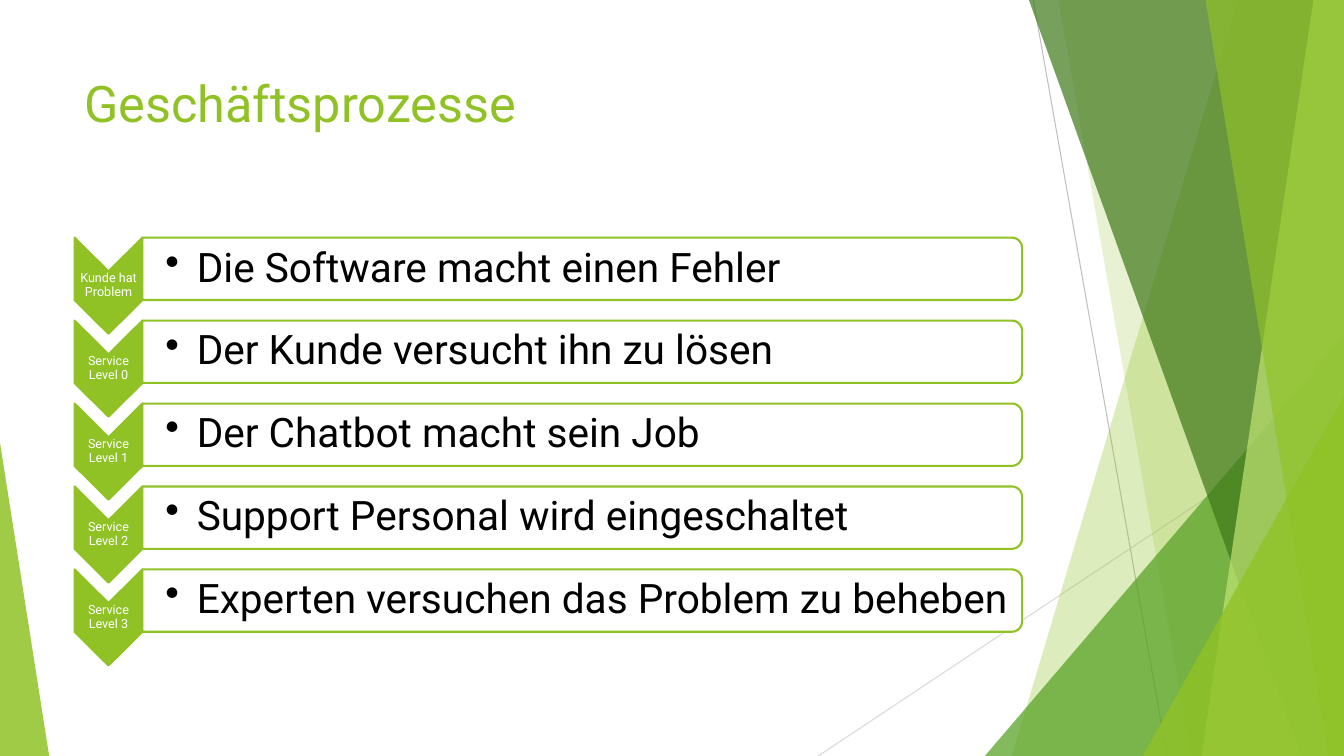
from dataclasses import dataclass
from math import cos, pi, sin

from lxml.etree import SubElement
from pptx import Presentation
from pptx.dml.color import RGBColor
from pptx.enum.shapes import MSO_CONNECTOR as Connector
from pptx.enum.text import MSO_ANCHOR as Anchor, PP_ALIGN as Align
from pptx.oxml.ns import qn
from pptx.shapes.autoshape import Shape
from pptx.slide import Slide
from pptx.text.text import _Paragraph as Paragraph
from pptx.util import Cm, Pt

Point = tuple[float, float]


@dataclass(frozen=True)
class Theme:
    font: str = "Roboto"
    lime: str = "90C226"
    pale_lime: str = "C0E474"
    green: str = "54A021"
    dark_green: str = "3F7819"
    gray: str = "BFBFBF"
    light_gray: str = "D9D9D9"
    white: str = "FFFFFF"
    black: str = "000000"
    title_size: float = 36
    step_size: float = 29
    level_size: float = 9
    outline: float = 1.5
    hairline: float = 0.75


@dataclass(frozen=True)
class Facet:
    corners: tuple[Point, ...]
    color: str
    opacity: int


@dataclass(frozen=True)
class Ray:
    start: Point
    end: Point
    color: str


@dataclass(frozen=True)
class Step:
    level: str
    action: str


THEME = Theme()
WIDTH, HEIGHT = 33.87, 19.05

RAYS = (
    Ray((26.04, 0), (29.41, HEIGHT), THEME.gray),
    Ray((WIDTH, 10.24), (20.62, HEIGHT), THEME.light_gray),
)


def right_facet(top: float, bottom: float, color: str, opacity: int) -> Facet:
    corners = ((top, 0), (WIDTH, 0), (WIDTH, HEIGHT), (bottom, HEIGHT))
    return Facet(corners, color, opacity)


def corner_facet(left: float, top: float, color: str, opacity: int) -> Facet:
    return Facet(((left, HEIGHT), (WIDTH, top), (WIDTH, HEIGHT)), color, opacity)


FACETS = (
    right_facet(31.19, 25.5, THEME.lime, 30),
    right_facet(26.67, 30.02, THEME.lime, 20),
    corner_facet(24.82, 8.46, THEME.green, 72),
    right_facet(25.93, 32.79, THEME.dark_green, 70),
    right_facet(33.1, 30.28, THEME.pale_lime, 70),
    right_facet(30.38, 33.48, THEME.lime, 65),
    corner_facet(28.8, 9.98, THEME.lime, 80),
    Facet(((0, HEIGHT), (0, 11.15), (1.24, HEIGHT)), THEME.lime, 85),
)

STEPS = (
    Step("Kunde hat Problem", "Die Software macht einen Fehler"),
    Step("Service Level 0", "Der Kunde versucht ihn zu lösen"),
    Step("Service Level 1", "Der Chatbot macht sein Job"),
    Step("Service Level 2", "Support Personal wird eingeschaltet"),
    Step("Service Level 3", "Experten versuchen das Problem zu beheben"),
)

FIRST_TOP, PITCH = 5.99, 2.09
CHEVRON_LEFT, BAR_LEFT, BAR_RIGHT = 1.88, 3.59, 25.76
BAR_HEIGHT, TIP_DEPTH, CORNER_RADIUS = 1.57, 0.85, 0.26
BULLET_INDENT = 0.79


def draw_polygon(slide: Slide, corners: tuple[Point, ...], color: str, opacity: int = 100) -> Shape:
    start, *others = [(Cm(x), Cm(y)) for x, y in corners]
    builder = slide.shapes.build_freeform(*start)
    builder.add_line_segments(others, close=True)
    polygon = builder.convert_to_shape()
    polygon.shadow.inherit = False
    polygon.fill.solid()
    polygon.fill.fore_color.rgb = RGBColor.from_string(color)
    if opacity < 100:
        tint = polygon.fill._xPr.find(qn("a:solidFill"))[0]
        SubElement(tint, qn("a:alpha"), val=str(opacity * 1000))
    polygon.line.fill.background()
    return polygon


def draw_ray(slide: Slide, ray: Ray) -> None:
    ends = [Cm(length) for length in (*ray.start, *ray.end)]
    connector = slide.shapes.add_connector(Connector.STRAIGHT, *ends)
    connector.line.color.rgb = RGBColor.from_string(ray.color)
    connector.line.width = Pt(THEME.hairline)
    SubElement(connector._element.spPr, qn("a:effectLst"))


def write_run(paragraph: Paragraph, text: str, size: float, color: str) -> None:
    run = paragraph.add_run()
    run.text = text
    run.font.name = THEME.font
    run.font.size = Pt(size)
    run.font.color.rgb = RGBColor.from_string(color)


def prepare_step_text(shape: Shape, insets: tuple[float, ...], align: Align, after: float) -> Paragraph:
    shape.line.color.rgb = RGBColor.from_string(THEME.lime)
    shape.line.width = Pt(THEME.outline)
    frame = shape.text_frame
    frame.word_wrap = True
    frame.vertical_anchor = Anchor.MIDDLE
    (frame.margin_left, frame.margin_top,
     frame.margin_right, frame.margin_bottom) = map(Cm, insets)
    paragraph = frame.paragraphs[0]
    paragraph.alignment = align
    paragraph.line_spacing = 0.9
    paragraph.space_after = Pt(after)
    return paragraph


def add_bullet(paragraph: Paragraph) -> None:
    properties = paragraph._p.get_or_add_pPr()
    properties.set("marL", str(Cm(BULLET_INDENT)))
    properties.set("indent", str(-Cm(BULLET_INDENT)))
    bullet_color = SubElement(properties, qn("a:buClr"))
    SubElement(bullet_color, qn("a:srgbClr"), val=THEME.black)
    SubElement(properties, qn("a:buChar"), char="•")


def draw_level(slide: Slide, level: str, top: float) -> None:
    middle = (CHEVRON_LEFT + BAR_LEFT) / 2
    bottom = top + BAR_HEIGHT
    chevron = draw_polygon(slide, (
        (BAR_LEFT, top), (BAR_LEFT, bottom), (middle, bottom + TIP_DEPTH),
        (CHEVRON_LEFT, bottom), (CHEVRON_LEFT, top), (middle, top + TIP_DEPTH),
    ), THEME.lime)
    paragraph = prepare_step_text(chevron, (0.02, TIP_DEPTH, 0.02, TIP_DEPTH), Align.CENTER, 4)
    write_run(paragraph, level, THEME.level_size, THEME.white)


def draw_action(slide: Slide, action: str, top: float) -> None:
    bottom = top + BAR_HEIGHT
    center_x = BAR_RIGHT - CORNER_RADIUS
    angles = [pi / 2 * part / 8 for part in range(9)]
    arc = [(center_x + CORNER_RADIUS * sin(a), CORNER_RADIUS * (1 - cos(a))) for a in angles]
    upper = [(x, top + drop) for x, drop in arc]
    lower = [(x, bottom - drop) for x, drop in reversed(arc)]
    bar = draw_polygon(slide, ((BAR_LEFT, top), *upper, *lower, (BAR_LEFT, bottom)), THEME.white, 90)
    paragraph = prepare_step_text(bar, (0.58, 0.13, 0.13, 0.13), Align.LEFT, 5)
    add_bullet(paragraph)
    write_run(paragraph, action, THEME.step_size, THEME.black)


def draw_title(slide: Slide, title: str) -> None:
    box = slide.shapes.add_textbox(Cm(1.88), Cm(1.7), Cm(23.88), Cm(3.66))
    box.text_frame.word_wrap = True
    write_run(box.text_frame.paragraphs[0], title, THEME.title_size, THEME.lime)


def main() -> None:
    presentation = Presentation()
    presentation.slide_width, presentation.slide_height = Cm(WIDTH), Cm(HEIGHT)
    slide = presentation.slides.add_slide(presentation.slide_layouts[6])
    for ray in RAYS:
        draw_ray(slide, ray)
    for facet in FACETS:
        draw_polygon(slide, facet.corners, facet.color, facet.opacity)
    draw_title(slide, "Geschäftsprozesse")
    for row, step in enumerate(STEPS):
        top = FIRST_TOP + row * PITCH
        draw_level(slide, step.level, top)
        draw_action(slide, step.action, top)
    presentation.save("out.pptx")


if __name__ == "__main__":
    main()
